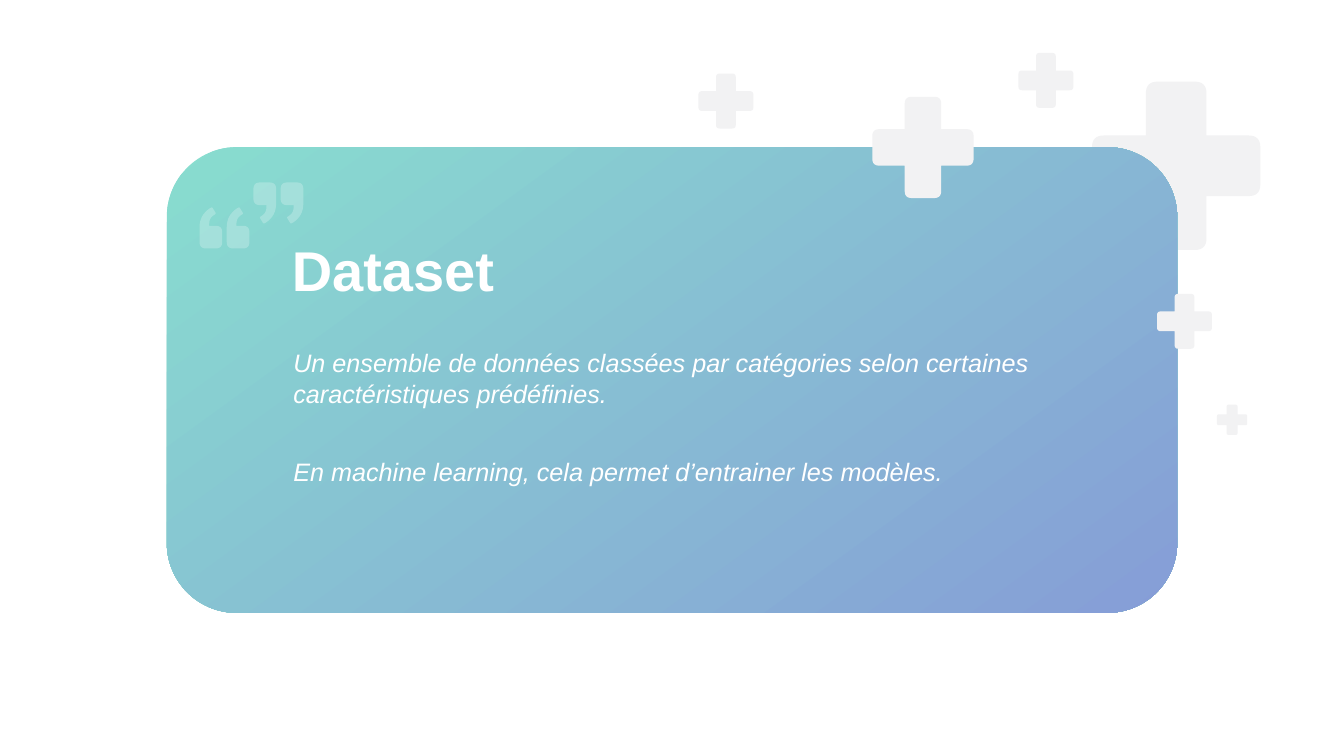
from dataclasses import dataclass

from lxml import etree
from pptx import Presentation
from pptx.dml.color import RGBColor
from pptx.enum.shapes import MSO_SHAPE
from pptx.enum.text import MSO_ANCHOR, MSO_AUTO_SIZE, PP_ALIGN
from pptx.oxml.ns import qn
from pptx.util import Pt

ROUNDED = MSO_SHAPE.ROUNDED_RECTANGLE
TOP, MIDDLE = MSO_ANCHOR.TOP, MSO_ANCHOR.MIDDLE
LEFT = PP_ALIGN.LEFT
NO_FIT = MSO_AUTO_SIZE.NONE

PX = 9144
FONT = "Arial"
COLORS = {"white": "FFFFFF", "plus": "F2F2F3", "mint": "88DDCF", "violet": "869DD7"}
CURVE_STEPS = 8


@dataclass(frozen=True)
class Box:
    x: int
    y: int
    w: int
    h: int


@dataclass(frozen=True)
class Plus:
    x: int
    y: int
    size: int


@dataclass(frozen=True)
class Quote:
    x: int
    y: int
    direction: int


SLIDE = Box(0, 0, 2667, 1500)
CARD = Box(331, 292, 2005, 924)
TITLE = Box(569, 457, 1523, 153)
BODY = Box(572, 680, 1543, 300)
BACK_PLUS = Plus(2167, 162, 334)
FRONT_PLUSES = [
    Plus(2296, 583, 109),
    Plus(2021, 105, 109),
    Plus(1731, 192, 201),
    Plus(1386, 146, 109),
    Plus(2415, 803, 60),
]
QUOTES = [Quote(503, 362, 1), Quote(557, 362, 1), Quote(441, 493, -1), Quote(495, 493, -1)]
QUOTE_CORNERS = [
    (0, 0, 13), (45, 0, 13), (45, 66, 24), (24, 80, 0), (20, 82, 2),
    (12, 69, 3), (25, 61, 10), (26, 45, 0), (0, 45, 13),
]
DEFINITIONS = [
    "Un ensemble de données classées par catégories selon certaines "
    "caractéristiques prédéfinies.",
    "En machine learning, cela permet d’entrainer les modèles.",
]


def rgb(name: str) -> RGBColor:
    return RGBColor.from_string(COLORS[name])


def round_corners(corners: list) -> list:
    points = []
    for i, (x, y, radius) in enumerate(corners):
        if not radius:
            points.append((x, y))
            continue
        ends = []
        for nx, ny, _ in (corners[i - 1], corners[(i + 1) % len(corners)]):
            share = min(radius / ((nx - x) ** 2 + (ny - y) ** 2) ** 0.5, 1)
            ends.append((x + (nx - x) * share, y + (ny - y) * share))
        (ax, ay), (bx, by) = ends
        for step in range(CURVE_STEPS + 1):
            t = step / CURVE_STEPS
            a, c, b = (1 - t) ** 2, 2 * t * (1 - t), t ** 2
            points.append((a * ax + c * x + b * bx, a * ay + c * y + b * by))
    return points


def draw_outline(s, contours: list, color: str):
    scaled = [[(x * PX, y * PX) for x, y in contour] for contour in contours]
    builder = s.shapes.build_freeform(*scaled[0][0])
    for i, contour in enumerate(scaled):
        if i:
            builder.move_to(*contour[0])
        builder.add_line_segments(contour[1:], close=True)
    sp = builder.convert_to_shape()
    sp.shadow.inherit = False
    sp.fill.solid()
    sp.fill.fore_color.rgb = rgb(color)
    sp.line.fill.background()
    return sp


def draw_plus(s, plus: Plus) -> None:
    a, b, radius = 0.32, 0.68, 0.07
    corners = [
        (a, 0, radius), (b, 0, radius), (b, a, 0),
        (1, a, radius), (1, b, radius), (b, b, 0),
        (b, 1, radius), (a, 1, radius), (a, b, 0),
        (0, b, radius), (0, a, radius), (a, a, 0),
    ]
    contour = [(plus.x + x * plus.size, plus.y + y * plus.size)
               for x, y in round_corners(corners)]
    draw_outline(s, [contour], "plus")


def draw_quotes(s, quotes: list) -> None:
    mark = round_corners(QUOTE_CORNERS)
    contours = [[(q.x + q.direction * x, q.y + q.direction * y) for x, y in mark]
                for q in quotes]
    sp = draw_outline(s, contours, "white")
    color = sp.fill._xPr.find(qn("a:solidFill")).find(qn("a:srgbClr"))
    etree.SubElement(color, qn("a:alpha"), val="24000")


def draw_card(s, box: Box) -> None:
    sp = s.shapes.add_shape(ROUNDED, box.x * PX, box.y * PX, box.w * PX, box.h * PX)
    sp.adjustments[0] = 0.15
    sp.shadow.inherit = False
    sp.line.fill.background()
    sp.fill.gradient()
    sp.fill.gradient_angle = 306
    for stop, color in zip(sp.fill.gradient_stops, ("mint", "violet")):
        stop.color.rgb = rgb(color)


def fill_placeholder(s, sp, box: Box, texts: list, size: int, anchor,
                     bold: bool = False, italic: bool = False, gap: int = 0) -> None:
    s.shapes._spTree.append(sp._element)
    sp.left, sp.top, sp.width, sp.height = (v * PX for v in (box.x, box.y, box.w, box.h))
    tf = sp.text_frame
    tf.word_wrap = True
    tf.auto_size = NO_FIT
    tf.vertical_anchor = anchor
    tf.margin_left = tf.margin_right = tf.margin_top = tf.margin_bottom = 10 * PX
    for i, text in enumerate(texts):
        p = tf.add_paragraph() if i else tf.paragraphs[0]
        p.alignment = LEFT
        p.line_spacing = 1.0
        p.space_before = Pt(gap if i else 0)
        p_pr = p._p.get_or_add_pPr()
        p_pr.set("marL", "0")
        p_pr.set("indent", "0")
        etree.SubElement(p_pr, qn("a:buNone"))
        r = p.add_run()
        r.text = text
        r.font.name = FONT
        r.font.size = Pt(size)
        r.font.bold = bold
        r.font.italic = italic
        r.font.color.rgb = rgb("white")


def main() -> None:
    prs = Presentation()
    prs.slide_width, prs.slide_height = SLIDE.w * PX, SLIDE.h * PX
    s = prs.slides.add_slide(prs.slide_layouts[1])
    draw_plus(s, BACK_PLUS)
    draw_card(s, CARD)
    fill_placeholder(s, s.shapes.title, TITLE, ["Dataset"], 80, MIDDLE, bold=True)
    fill_placeholder(s, s.placeholders[1], BODY, DEFINITIONS, 36, TOP, italic=True, gap=68)
    draw_quotes(s, QUOTES)
    for plus in FRONT_PLUSES:
        draw_plus(s, plus)
    prs.save("out.pptx")


if __name__ == "__main__":
    main()
